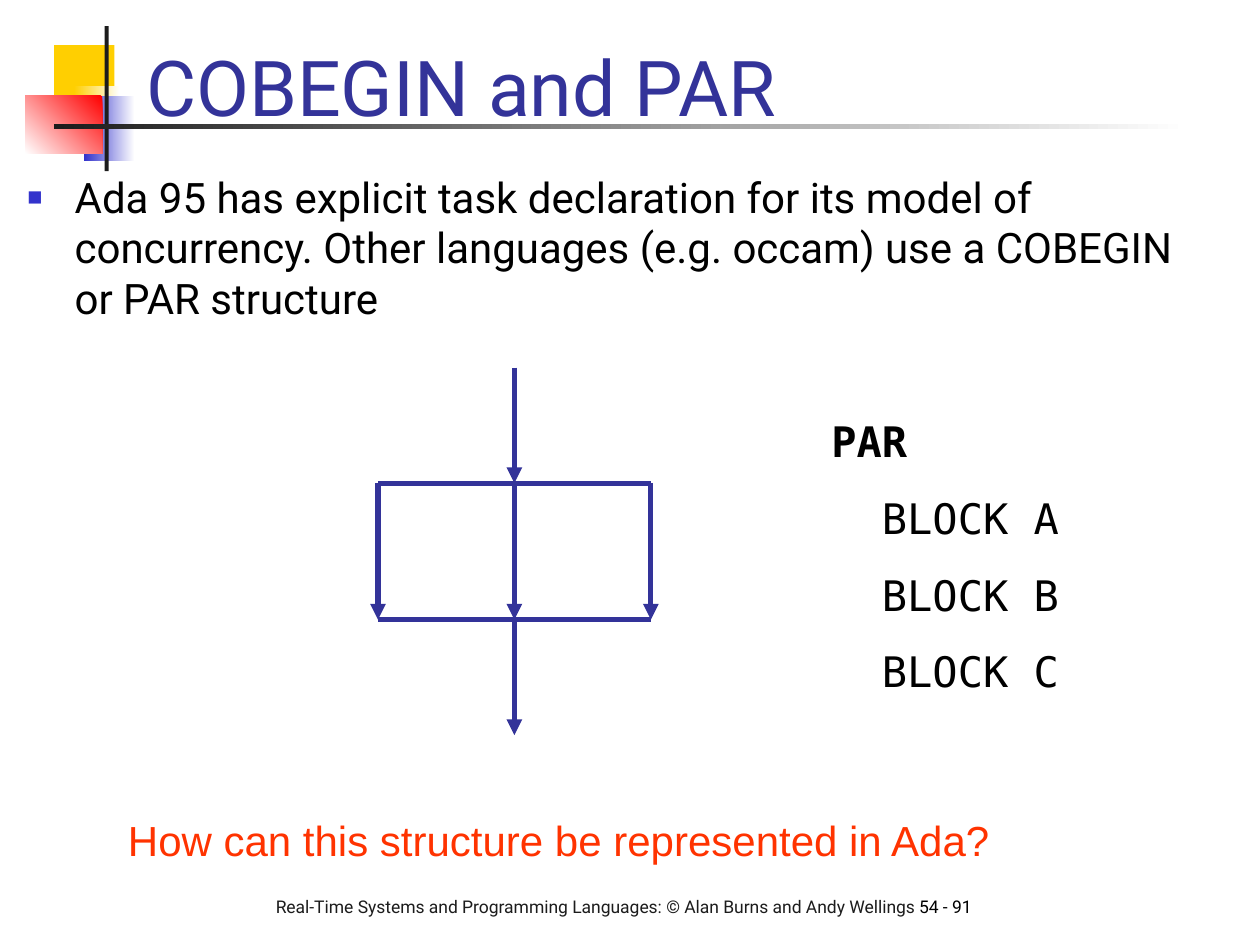
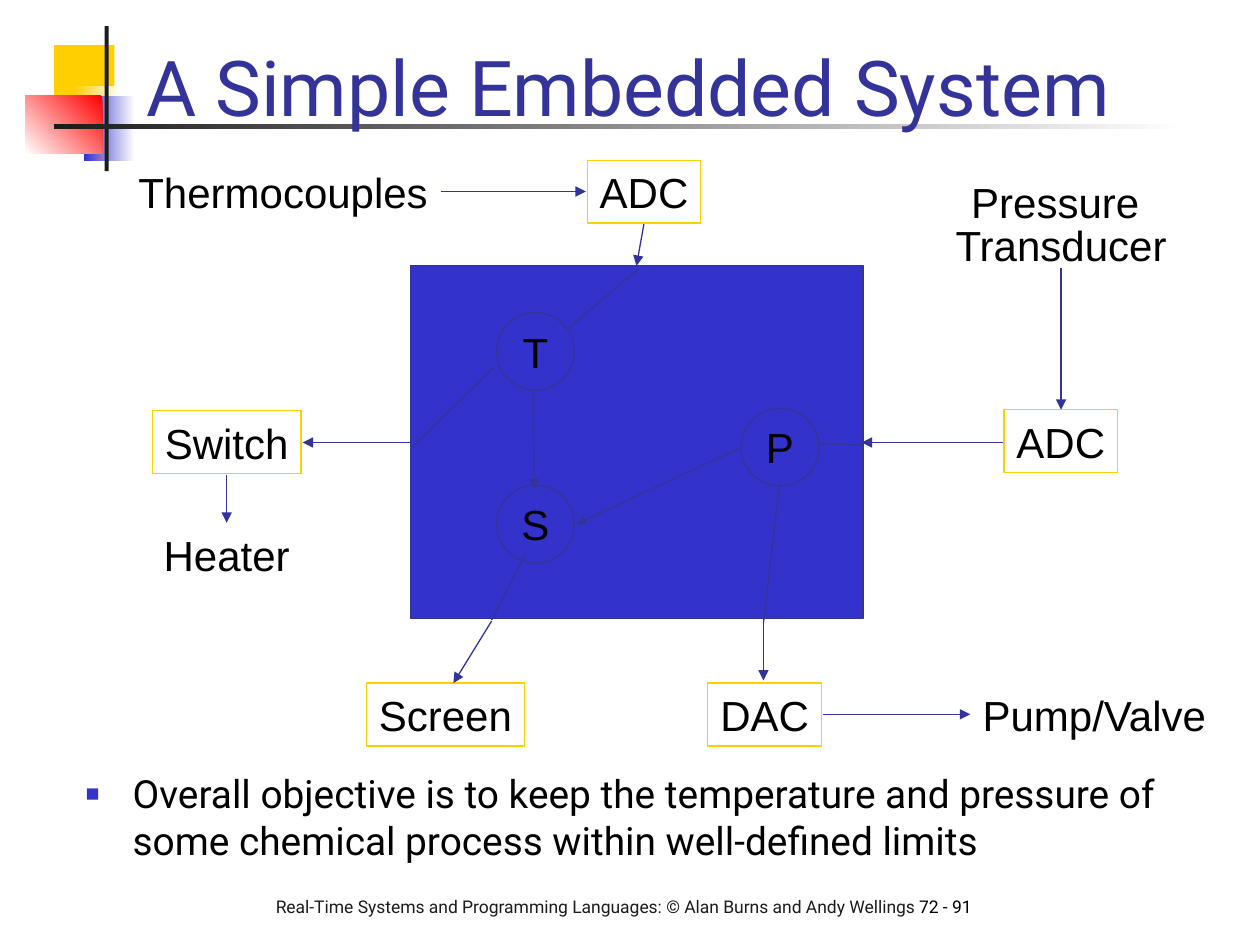
from lxml import etree
from pptx import Presentation
from pptx.dml.color import RGBColor
from pptx.enum.shapes import MSO_CONNECTOR, MSO_SHAPE
from pptx.enum.text import MSO_ANCHOR, MSO_AUTO_SIZE, PP_ALIGN
from pptx.oxml.ns import qn
from pptx.util import Cm, Pt

RECTANGLE, OVAL = MSO_SHAPE.RECTANGLE, MSO_SHAPE.OVAL
STRAIGHT = MSO_CONNECTOR.STRAIGHT
LEFT, CENTER = PP_ALIGN.LEFT, PP_ALIGN.CENTER
TOP, MIDDLE, BOTTOM = MSO_ANCHOR.TOP, MSO_ANCHOR.MIDDLE, MSO_ANCHOR.BOTTOM
FIXED, GROW = MSO_AUTO_SIZE.NONE, MSO_AUTO_SIZE.SHAPE_TO_FIT_TEXT

BLACK, WHITE, CHARCOAL = "000000", "FFFFFF", "1C1C1C"
NAVY, BLUE, GOLD, RED, ORANGE = "333399", "3333CC", "FFCF01", "FF0000", "FF3300"
TITLE_STYLE = {"name": "Roboto", "size": Pt(44)}
FOOTER_STYLE = {"name": "Roboto", "size": Pt(10)}
LABEL_STYLE = {"name": "Arial", "size": Pt(24)}
CODE_STYLE = {"name": "DejaVu Sans Mono", "size": Pt(24)}
LABEL_PARA = {"alignment": LEFT, "space_before": Pt(15)}


def paint(fill, *colours):
    if len(colours) == 1:
        fill.solid()
        fill.fore_color.rgb = RGBColor.from_string(colours[0])
    else:
        fill.gradient()
        for stop, colour in zip(fill.gradient_stops, colours):
            stop.color.rgb = RGBColor.from_string(colour)


def write(para, text, style, colour=BLACK, layout=LABEL_PARA):
    for name, value in layout.items():
        setattr(para, name, value)
    span = para.add_run()
    span.text = text
    for name, value in style.items():
        setattr(span.font, name, value)
    paint(span.font.fill, colour)


deck = Presentation()
deck.slide_width, deck.slide_height = Cm(25.4), Cm(19.05)
template = deck.slide_layouts[1]
for holder in list(template.placeholders):
    if holder.placeholder_format.idx >= 10:
        holder.element.getparent().remove(holder.element)

contents = [
    ("COBEGIN and PAR", "54 - 91", (0.3, 3.33, 24.18, 3.96), 24,
     "Ada 95 has explicit task declaration for its model of concurrency. "
     "Other languages (e.g. occam) use a COBEGIN or PAR structure"),
    ("A Simple Embedded System", "72 - 91", (1.47, 15.39, 23.24, 3.15), 22.2,
     "Overall objective is to keep the temperature and pressure of some "
     "chemical process within well-defined limits"),
]
pages = []
for heading, number, body_place, body_size, sentence in contents:
    page = deck.slides.add_slide(template)
    pages.append(page)
    title, body = page.shapes.title, page.placeholders[1]
    footer = page.shapes.add_textbox(0, 0, 0, 0)
    for box, place, anchor in [
        (title, (2.69, 0.33, 21.64, 2.46), BOTTOM),
        (body, body_place, TOP),
        (footer, (5.31, 17.93, 15.39, 1.17), TOP),
    ]:
        box.left, box.top, box.width, box.height = map(Cm, place)
        frame = box.text_frame
        frame.word_wrap, frame.auto_size, frame.vertical_anchor = True, FIXED, anchor

    write(title.text_frame.paragraphs[0], heading, TITLE_STYLE, NAVY, {"alignment": LEFT})
    para = body.text_frame.paragraphs[0]
    write(para, sentence, {"name": "Roboto", "size": Pt(body_size)},
          layout={"alignment": LEFT, "space_before": Pt(6)})
    settings = para._p.get_or_add_pPr()
    settings.set("marL", str(Cm(0.95)))
    settings.set("indent", str(-Cm(0.95)))
    bullet_colour = etree.SubElement(settings, qn("a:buClr"))
    etree.SubElement(bullet_colour, qn("a:srgbClr"), val=BLUE)
    etree.SubElement(settings, qn("a:buSzPct"), val="60000")
    etree.SubElement(settings, qn("a:buFont"), typeface="Arial")
    etree.SubElement(settings, qn("a:buChar"), char="■")

    para = footer.text_frame.paragraphs[0]
    write(para, "Real-Time Systems and Programming Languages: © Alan Burns and Andy Wellings ",
          FOOTER_STYLE, CHARCOAL, {})
    write(para, number, FOOTER_STYLE, layout={})

fork_page, system_page = pages

ornaments = []
for place, colours, angle in [
    ((1.09, 0.91, 1.22, 1.32), [GOLD], None),
    ((1.5, 1.73, 0.91, 1.32), [WHITE, GOLD], 180),
    ((1.7, 1.93, 1.02, 1.32), [WHITE, BLUE], 180),
    ((0.51, 1.93, 1.55, 1.17), [RED, WHITE], 225),
    ((2.11, 0.53, 0.08, 2.92), [CHARCOAL], None),
    ((1.09, 2.51, 22.86, 0.1), [WHITE, CHARCOAL], 180),
]:
    ornament = fork_page.shapes.add_shape(RECTANGLE, *map(Cm, place))
    ornament.shadow.inherit = False
    ornament.line.fill.background()
    paint(ornament.fill, *colours)
    if angle:
        ornament.fill.gradient_angle = angle
    ornaments.append(ornament)
for ornament in ornaments:
    template.shapes.element.append(ornament.element)

code = fork_page.shapes.add_textbox(Cm(16.51), Cm(8.26), Cm(6.55), Cm(5.92)).text_frame
code.word_wrap = True
write(code.paragraphs[0], "PAR", {**CODE_STYLE, "bold": True})
for letter in "ABC":
    para = code.add_paragraph()
    write(para, f"BLOCK {letter}", CODE_STYLE)
    para._p.get_or_add_pPr().set("marL", str(Cm(1.02)))

question = fork_page.shapes.add_textbox(Cm(2.33), Cm(16.3), Cm(20.12), Cm(1.27)).text_frame
question.word_wrap = True
write(question.paragraphs[0], "How can this structure be represented in Ada?", LABEL_STYLE, ORANGE)

computer = system_page.shapes.add_shape(RECTANGLE, Cm(8.28), Cm(5.36), Cm(9.12), Cm(7.11))
computer.shadow.inherit = False
paint(computer.fill, BLUE)
paint(computer.line.fill, NAVY)
computer.line.width = Pt(0.75)

for kind, text, left, top, width, height, outline in [
    (OVAL, "T", 10.01, 6.3, 1.57, 1.57, NAVY),
    (OVAL, "S", 10.01, 9.78, 1.57, 1.57, NAVY),
    (OVAL, "P", 14.94, 8.23, 1.57, 1.57, NAVY),
    (RECTANGLE, "Switch", 3.07, 8.28, 3, 1.27, GOLD),
    (RECTANGLE, "ADC", 11.84, 3.23, 2.29, 1.27, GOLD),
    (RECTANGLE, "ADC", 20.24, 8.26, 2.29, 1.27, GOLD),
    (RECTANGLE, "DAC", 14.27, 13.77, 2.29, 1.27, GOLD),
    (RECTANGLE, "Screen", 7.39, 13.77, 3.18, 1.27, GOLD),
]:
    node = system_page.shapes.add_shape(kind, Cm(left), Cm(top), Cm(width), Cm(height))
    node.shadow.inherit = False
    node.fill.background()
    paint(node.line.fill, outline)
    node.line.width = Pt(0.75)
    frame = node.text_frame
    frame.word_wrap, frame.vertical_anchor = False, MIDDLE
    write(frame.paragraphs[0], text, LABEL_STYLE, layout={"alignment": CENTER})

for text, left, top, width in [
    ("Heater", 3.05, 10.54, 3.05),
    ("Thermocouples", 2.54, 3.23, 6.5),
    ("Pump/Valve", 19.56, 13.77, 5.05),
]:
    label = system_page.shapes.add_textbox(Cm(left), Cm(top), Cm(width), Cm(1.27))
    label.text_frame.word_wrap, label.text_frame.auto_size = False, GROW
    write(label.text_frame.paragraphs[0], text, LABEL_STYLE)

sensor = system_page.shapes.add_textbox(Cm(19), Cm(3.43), Cm(4.78), Cm(2.01)).text_frame
sensor.word_wrap, sensor.auto_size = False, GROW
sensor_para = {"alignment": CENTER, "space_before": Pt(15)}
write(sensor.paragraphs[0], "Pressure ", LABEL_STYLE, layout=sensor_para)
write(sensor.add_paragraph(), "Transducer", LABEL_STYLE,
      layout={**sensor_para, "line_spacing": 0.2})

branches = [7.62, 10.37, 13.12]
start, fork, join, end = 7.41, 9.74, 12.49, 14.82
fork_bars = [(branches[0], level, branches[-1], level) for level in (fork, join)]
fork_arrows = [(x, fork, x, join) for x in branches]
fork_arrows += [(branches[1], start, branches[1], fork), (branches[1], join, branches[1], end)]
system_links = [
    (9.91, 12.5, 10.59, 11.18),
    (15.39, 12.57, 15.72, 9.7),
    (12.88, 5.41, 11.48, 6.6),
    (9.93, 7.42, 8.31, 9.02),
    (17.4, 8.97, 16.48, 8.94),
]
system_arrows = [
    (10.74, 7.85, 10.77, 9.86),
    (14.94, 9.02, 11.61, 10.57),
    (8.28, 8.92, 6.1, 8.92),
    (20.22, 8.92, 17.37, 8.92),
    (8.89, 3.86, 11.81, 3.86),
    (21.39, 5.41, 21.39, 8.26),
    (16.59, 14.4, 19.56, 14.4),
    (15.39, 12.47, 15.39, 13.72),
    (12.98, 4.52, 12.83, 5.36),
    (4.57, 9.58, 4.57, 10.54),
    (9.91, 12.52, 9.14, 13.77),
]
for page, weight, routes, pointed in [
    (fork_page, 3, fork_bars, False),
    (fork_page, 3, fork_arrows, True),
    (system_page, 0.75, system_links, False),
    (system_page, 0.75, system_arrows, True),
]:
    for route in routes:
        connector = page.shapes.add_connector(STRAIGHT, *map(Cm, route))
        paint(connector.line.fill, NAVY)
        connector.line.width = Pt(weight)
        properties = connector.element.spPr
        if pointed:
            etree.SubElement(properties.find(qn("a:ln")), qn("a:tailEnd"), type="triangle")
        etree.SubElement(properties, qn("a:effectLst"))

deck.save("out.pptx")
